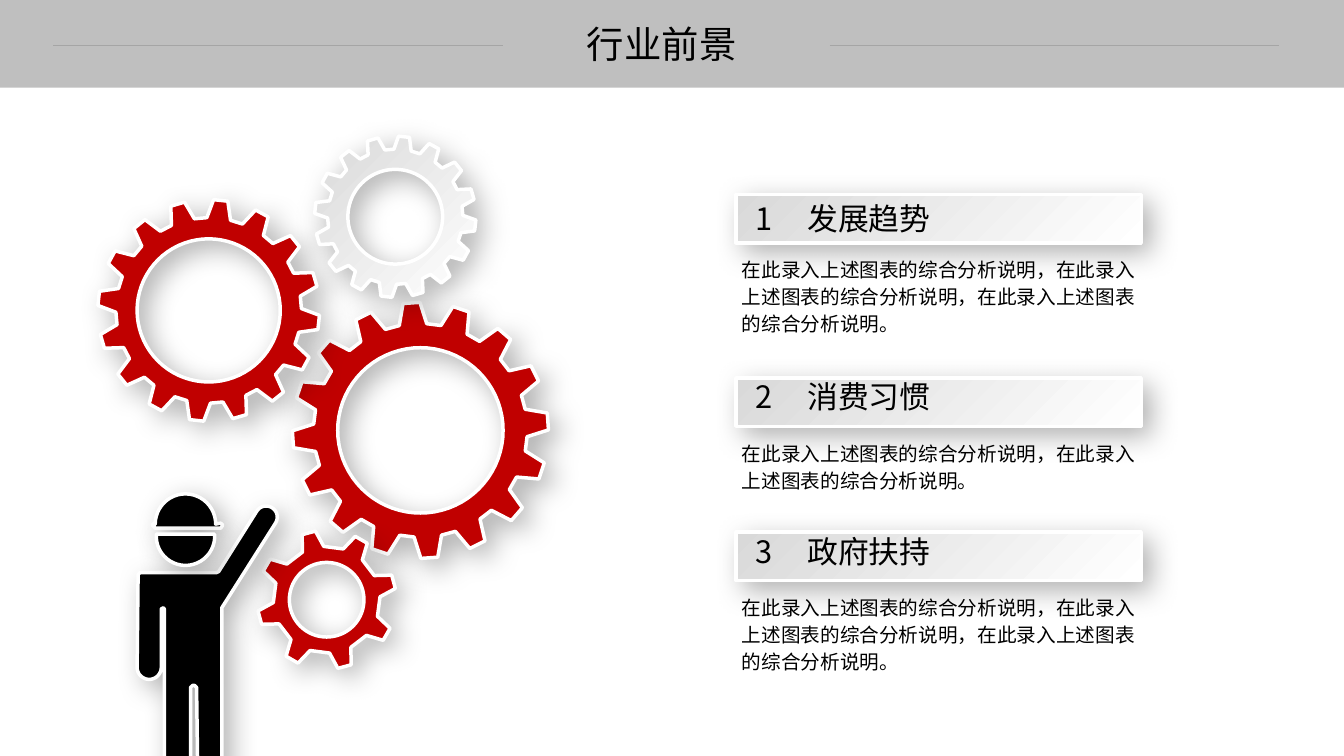
from dataclasses import dataclass
from math import cos, radians, sin

from lxml.etree import SubElement
from pptx import Presentation
from pptx.dml.color import RGBColor as RGB
from pptx.enum.shapes import MSO_CONNECTOR as CONNECTOR, MSO_SHAPE as SHAPE
from pptx.enum.text import MSO_ANCHOR as ANCHOR, PP_ALIGN as ALIGN
from pptx.oxml.ns import qn
from pptx.util import Inches, Pt


@dataclass
class Theme:
    font: str = "Noto Sans CJK SC"
    black: str = "000000"
    red: str = "C00000"
    silver: str = "D9D9D9"
    white: str = "FFFFFF"
    band: str = "BFBFBF"
    rule: str = "A5A5A5"
    title: float = 26.7
    heading: float = 22
    body: float = 14
    outline: float = 2.5


theme = Theme()


def arc(x, y, radius, start, end, steps=24):
    angles = [radians(start + (end - start) * i / steps) for i in range(steps + 1)]
    return [(x + radius * cos(a), y + radius * sin(a)) for a in angles]


def write(box, text, size, spacing, align=ALIGN.LEFT, tab=None):
    frame = box.text_frame
    frame.word_wrap = True
    frame.vertical_anchor = ANCHOR.TOP
    paragraph = frame.paragraphs[0]
    if tab:
        stops = SubElement(paragraph._p.get_or_add_pPr(), qn("a:tabLst"))
        SubElement(stops, qn("a:tab"), pos=str(tab), algn="l")
    paragraph.alignment = align
    paragraph.line_spacing = spacing
    run = paragraph.add_run()
    run.text = text
    run.font.size = Pt(size)
    run.font.name = theme.font
    run.font.color.rgb = RGB.from_string(theme.black)
    SubElement(run._r.get_or_add_rPr(), qn("a:ea"), typeface=theme.font)


prs = Presentation()
prs.slide_width, prs.slide_height = Inches(13.33), Inches(7.5)
slide = prs.slides.add_slide(prs.slide_layouts[5])
shapes = slide.shapes

band = shapes.add_shape(SHAPE.RECTANGLE, 0, 0, prs.slide_width, Inches(0.87))
band.shadow.inherit = False
band.fill.solid()
band.fill.fore_color.rgb = RGB.from_string(theme.band)
band.line.fill.background()
shapes._spTree.insert(2, band._element)

title = shapes.title
title_place = {"left": 5.41, "top": 0.16, "width": 2.31, "height": 0.55}
for side, length in title_place.items():
    setattr(title, side, Inches(length))
write(title, "行业前景", theme.title, 1.0, ALIGN.CENTER)

for left in (0.53, 8.23):
    rule = shapes.add_connector(
        CONNECTOR.STRAIGHT, Inches(left), Inches(0.45), Inches(left + 4.46), Inches(0.45))
    rule.line.color.rgb = RGB.from_string(theme.rule)
    rule.line.width = Pt(0.75)
    SubElement(rule._element.spPr, qn("a:effectLst"))

gears = [
    (4.17, 4.27, 1.27, 1.06, 0.82, 16, -4, 3.8, 7.4, theme.red),
    (2.07, 3.08, 1.1, 0.92, 0.71, 16, 6.25, 3.7, 7.4, theme.red),
    (3.92, 2.15, 0.8, 0.67, 0.47, 16, 6.25, 3.9, 7.4, None),
    (3.24, 5.95, 0.69, 0.53, 0.37, 8, -15, 5.7, 11.9, theme.red),
]
outlines = []
for x, y, tip, root, hole, teeth, phase, tip_half, root_half, color in gears:
    rim = []
    for tooth in range(teeth):
        middle = phase + 360 * tooth / teeth
        for radius, offset in ((root, -root_half), (tip, -tip_half),
                               (tip, tip_half), (root, root_half)):
            rim += arc(x, y, radius, middle + offset, middle + offset, 1)[:1]
    outlines.append(([rim, arc(x, y, hole, 360, 0, 72)], color))

helmet = arc(1.84, 5.2, 0.3, 180, 360) + [
    (2.19, 5.19), (2.21, 5.21), (2.19, 5.24), (1.54, 5.24), (1.51, 5.21), (1.53, 5.19)]
body = (
    [(2.15, 5.68), (2.17, 5.67)]
    + arc(2.64, 5.13, 0.11, 211, 391)
    + [(2.2, 6.03)]
    + arc(2.08, 7.57, 0.12, 0, 180)
    + [(1.95, 6.82), (1.93, 6.8), (1.91, 6.8), (1.89, 6.82)]
    + arc(1.76, 7.57, 0.13, 0, 180)
    + [(1.63, 6.04), (1.62, 6.03), (1.6, 6.04)]
    + arc(1.48, 6.62, 0.12, 0, 180)
    + [(1.37, 5.7), (1.39, 5.68)]
)
face = arc(1.84, 5.32, 0.29, -4, 184)
outlines += [([part], theme.black) for part in (helmet, body, face)]

raised = []
for contours, color in outlines:
    builder = None
    for contour in contours:
        points = [(Inches(x), Inches(y)) for x, y in contour]
        if builder is None:
            builder = shapes.build_freeform(*points[0])
        else:
            builder.move_to(*points[0])
        builder.add_line_segments(points[1:], close=True)
    raised.append((builder.convert_to_shape(), color))

analysis = "在此录入上述图表的综合分析说明"
topics = [
    (1.93, 1.93, 1.0, "1\t发展趋势", 3),
    (3.75, 3.74, 0.9, "2\t消费习惯", 2),
    (5.28, 5.28, 0.9, "3\t政府扶持", 3),
]
for top, heading_top, spacing, heading, repeats in topics:
    bar = shapes.add_shape(
        SHAPE.RECTANGLE, Inches(7.3), Inches(top), Inches(4.02), Inches(0.48))
    raised.append((bar, None))
    label = shapes.add_textbox(Inches(7.39), Inches(heading_top), Inches(2.42), Inches(0.5))
    write(label, heading, theme.heading, spacing, tab=Inches(0.52))
    detail = shapes.add_textbox(
        Inches(7.26), Inches(top + 0.55), Inches(4.24), Inches(0.1 + 0.27 * repeats))
    write(detail, "，".join([analysis] * repeats) + "。", theme.body, 1.14)

for shape, color in raised:
    if color:
        shape.fill.solid()
        shape.fill.fore_color.rgb = RGB.from_string(color)
    else:
        shape.fill.gradient()
        shape.fill.gradient_angle = 315
        for stop, shade in zip(shape.fill.gradient_stops, (theme.silver, theme.white)):
            stop.color.rgb = RGB.from_string(shade)
            stop.position = 0 if shade == theme.silver else 1
    shape.line.color.rgb = RGB.from_string(theme.white)
    shape.line.width = Pt(theme.outline)
    shape.shadow.inherit = False
    effects = shape._element.spPr.find(qn("a:effectLst"))
    shadow = SubElement(
        effects, qn("a:outerShdw"), blurRad=str(Pt(20)), dist=str(Pt(8)),
        dir="2700000", algn="tl", rotWithShape="0")
    shadow_color = SubElement(shadow, qn("a:srgbClr"), val=theme.black)
    SubElement(shadow_color, qn("a:alpha"), val="30000")

prs.save("out.pptx")
